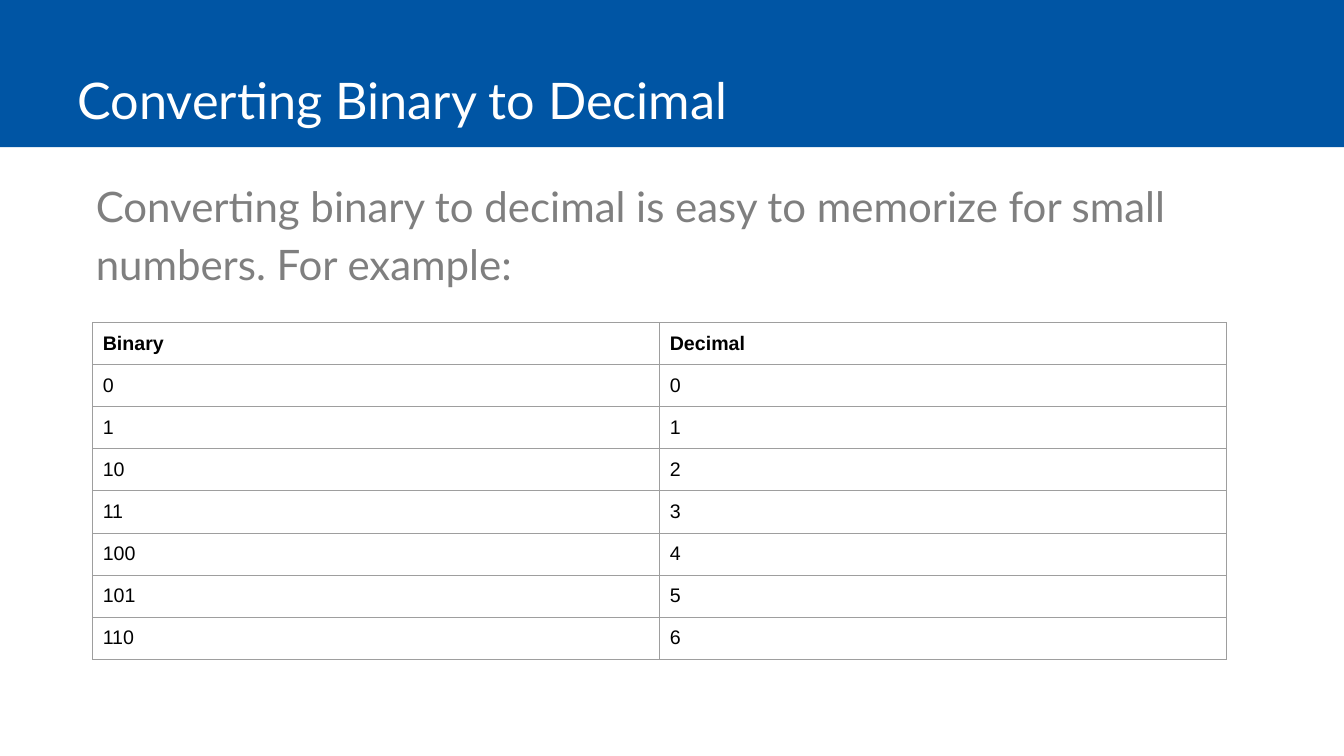
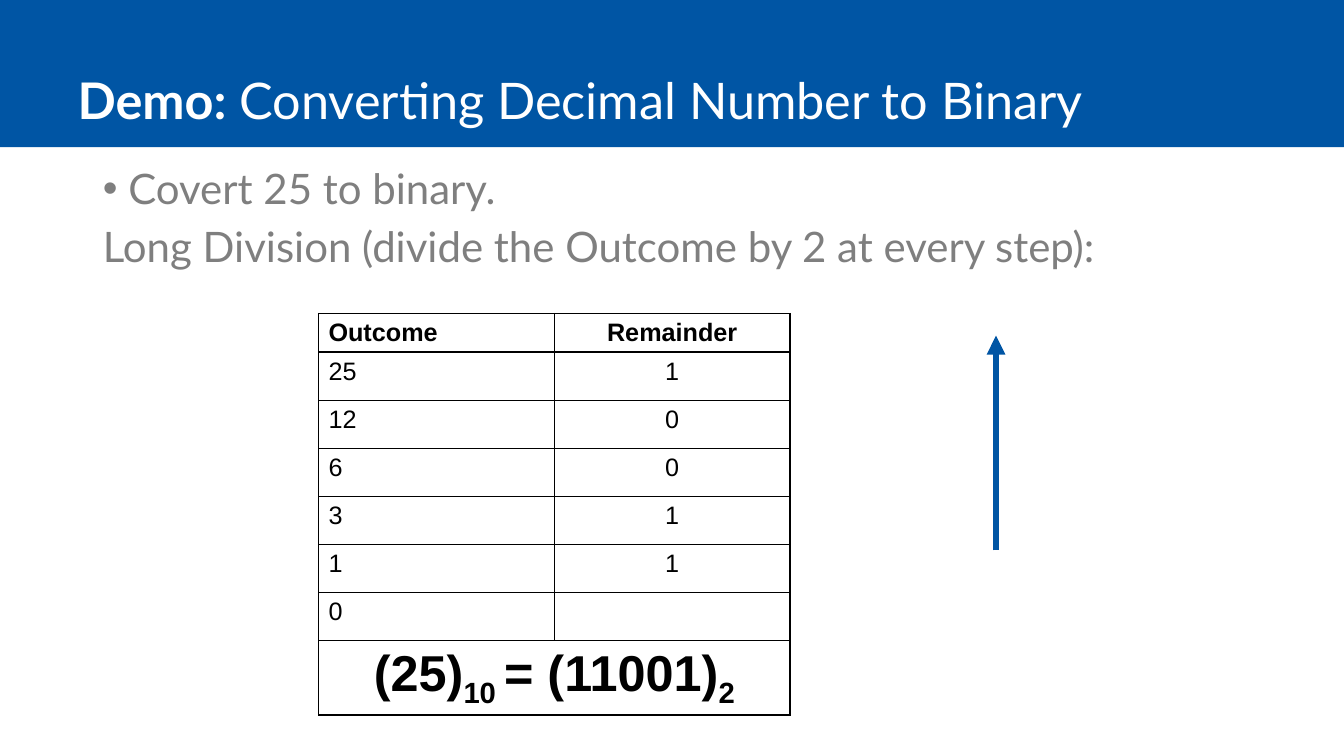
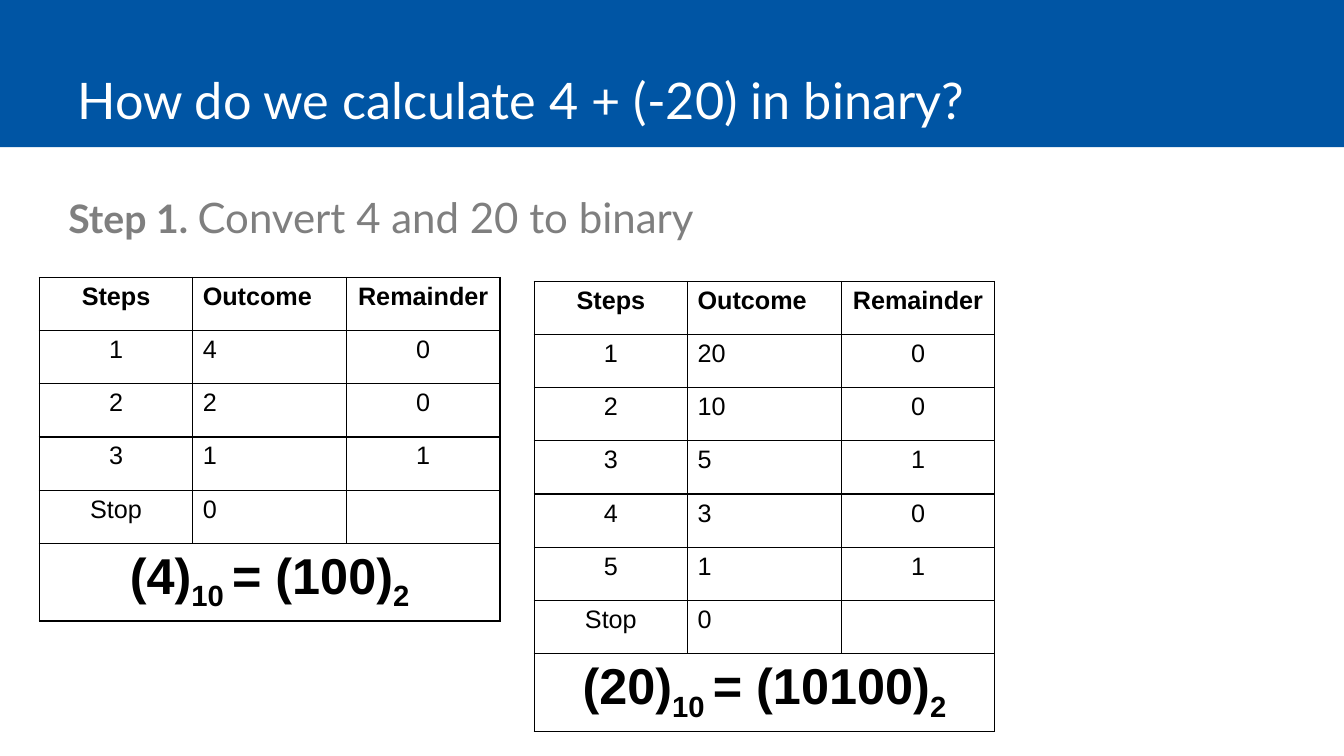
from pptx import Presentation
from pptx.dml.color import RGBColor
from pptx.enum.shapes import MSO_CONNECTOR, MSO_SHAPE
from pptx.enum.text import MSO_ANCHOR, MSO_AUTO_SIZE, PP_ALIGN
from pptx.oxml.ns import qn
from pptx.util import Cm, Pt
from lxml.etree import SubElement

HUES = {"band": "0055A4", "title": "FFFFFF", "body": "7F7F7F",
        "cell": "000000", "grid": "9E9E9E"}
SIDES = {"l": PP_ALIGN.LEFT, "c": PP_ALIGN.CENTER}
WIDE, HIGH = 33.87, 19.05


def hue(name):
    return RGBColor.from_string(HUES[name])


def tint(node, name):
    SubElement(node, qn("a:srgbClr"), val=HUES[name])


def edge(cell, name, width):
    """Draw all four borders of a cell; call before its fill is set."""
    props = cell._tc.get_or_add_tcPr()
    for side in ("lnL", "lnR", "lnT", "lnB"):
        line = SubElement(props, qn("a:" + side), w=str(Pt(width)))
        tint(SubElement(line, qn("a:solidFill")), name)


class Deck:
    head, text = "Lato", "Arial"

    def __init__(self):
        self.file = Presentation()
        self.file.slide_width, self.file.slide_height = Cm(WIDE), Cm(HIGH)
        self.plan = self.file.slide_layouts[1]
        self.place(self.plan.placeholders[0], 1.7, 0, 29.85, 3.4)
        self.page = None

    def place(self, item, *box):
        item.left, item.top, item.width, item.height = map(Cm, box)

    def run(self, para, text, size, font, color, bold=False, base=0):
        run = para.add_run()
        run.text = text
        run.font.size, run.font.name, run.font.bold = Pt(size), font, bold
        run.font.color.rgb = hue(color)
        if base:
            run._r.get_or_add_rPr().set("baseline", str(base * 1000))

    def slide(self, *parts):
        """Start a slide; each title part is (text, bold)."""
        self.page = self.file.slides.add_slide(self.plan)
        frame = self.page.shapes.title.text_frame
        frame.vertical_anchor = MSO_ANCHOR.BOTTOM
        frame.auto_size = MSO_AUTO_SIZE.NONE
        para = frame.paragraphs[0]
        para.alignment = PP_ALIGN.LEFT
        for text, bold in parts:
            self.run(para, text, 36, self.head, "title", bold)

    def band(self):
        """Draw the title band and move it to the layout, behind all."""
        bar = self.page.shapes.add_shape(
            MSO_SHAPE.RECTANGLE, 0, 0, Cm(WIDE), Cm(3.71))
        bar.shadow.inherit = False
        bar.fill.solid()
        bar.fill.fore_color.rgb = hue("band")
        bar.line.fill.background()
        self.plan.shapes.element.insert(2, bar.element)

    def body(self, box, paras, space=0.9):
        """Each paragraph is (bullet, gap before, [(text, size, bold)])."""
        item = self.page.placeholders[1]
        self.place(item, *box)
        frame = item.text_frame
        frame.auto_size = MSO_AUTO_SIZE.NONE
        for num, (dot, gap, parts) in enumerate(paras):
            para = frame.add_paragraph() if num else frame.paragraphs[0]
            para.line_spacing, para.space_before = space, Pt(gap)
            props = para._p.get_or_add_pPr()
            inset = Cm(0.64) if dot else 0
            props.set("marL", str(inset))
            props.set("indent", str(-inset))
            if dot:
                tint(SubElement(props, qn("a:buClr")), "body")
                SubElement(props, qn("a:buFont"), typeface=self.text)
                SubElement(props, qn("a:buChar"), char="•")
            else:
                SubElement(props, qn("a:buNone"))
            for text, size, bold in parts:
                self.run(para, text, size, self.head, "body", bold)

    def table(self, left, top, width, highs, rows, sides,
              size=18, pad=0.13, line=("cell", 1)):
        """Build a grid with a bold first row; width is that of a column."""
        table = self.page.shapes.add_table(
            len(highs), len(sides), Cm(left), Cm(top),
            Cm(width * len(sides)), Cm(sum(highs))).table
        table.first_row = table.horz_banding = False
        for col in table.columns:
            col.width = Cm(width)
        for row, high in zip(table.rows, highs):
            row.height = Cm(high)
            for cell in row.cells:
                edge(cell, *line)
                cell.fill.background()
                cell.margin_left = cell.margin_right = Cm(0.25)
                cell.margin_top = cell.margin_bottom = Cm(pad)
        for y, row in enumerate(rows):
            for x, text in enumerate(row):
                para = table.cell(y, x).text_frame.paragraphs[0]
                para.alignment = SIDES[sides[x]]
                if text:
                    self.run(para, text, size, self.text, "cell", y == 0)
        return table

    def steps(self, left, top, width, highs, rows, sides, ten, two):
        """Build a division table that ends in a merged result row."""
        table = self.table(left, top, width, highs, rows, sides)
        last = len(highs) - 1
        cell = table.cell(last, 0)
        cell.merge(table.cell(last, len(sides) - 1))
        para = cell.text_frame.paragraphs[0]
        para.alignment = PP_ALIGN.CENTER
        for text, base in ((f"({ten})", 0), ("10 ", -25),
                           (f"= ({two})", 0), ("2", -25)):
            self.run(para, text, 36, self.text, "cell", True, base)

    def arrow(self, *ends):
        line = self.page.shapes.add_connector(
            MSO_CONNECTOR.STRAIGHT, *map(Cm, ends))
        line.line.color.rgb = hue("band")
        line.line.width = Pt(4.5)
        SubElement(line.line._get_or_add_ln(), qn("a:tailEnd"),
                   type="triangle")
        SubElement(line._element.spPr, qn("a:effectLst"))


def main():
    deck = Deck()

    deck.slide(("Converting Binary to Decimal", False))
    deck.band()
    deck.body((2.16, 4.24, 29.21, 3.4), [(False, 0, [
        ("Converting binary to decimal is easy to memorize for small "
         "numbers. For example:", 30, False)])], 1.15)
    rows = [("Binary", "Decimal")]
    rows += [(f"{num:b}", str(num)) for num in range(7)]
    deck.table(2.34, 8.13, 14.29, [1.06] * 8, rows, "ll",
               14, 0.25, ("grid", 0.75))

    deck.slide(("Demo:", True),
               (" Converting Decimal Number to Binary", False))
    deck.body((2.34, 4.11, 29.21, 13.03), [
        (True, 0, [("Covert 25 to binary.", 30, False)]),
        (False, 9, [("Long Division (divide the Outcome by 2 at every "
                     "step):", 30, False)])])
    rows = [("Outcome", "Remainder"), ("25", "1"), ("12", "0"), ("6", "0"),
            ("3", "1"), ("1", "1"), ("0", "")]
    deck.steps(8.03, 7.9, 5.94, [0.96] + [1.21] * 6 + [1.88], rows, "lc",
               "25", "11001")
    deck.arrow(25.1, 13.87, 25.1, 8.46)

    deck.slide(("How do we calculate 4 + (-20) in binary?", False))
    deck.body((1.47, 4.85, 30.73, 12.09), [(False, 0, [
        ("Step 1. ", 28, True), ("Convert 4 and 20 to binary", 30, False)])])
    top = ("Steps", "Outcome", "Remainder")
    end = ("Stop", "0", "")
    four = [("4", "0"), ("2", "0"), ("1", "1")]
    score = [("20", "0"), ("10", "0"), ("5", "1"), ("3", "0"), ("1", "1")]
    for left, high, pairs, ten, two in (
            (0.99, 6.99, four, "4", "100"),
            (13.46, 7.09, score, "20", "10100")):
        rows = [(str(num), *pair) for num, pair in enumerate(pairs, 1)]
        rows = [top, *rows, end]
        deck.steps(left, high, 3.87, [1.34] * len(rows) + [1.96], rows,
                   "clc", ten, two)

    deck.file.save("out.pptx")


if __name__ == "__main__":
    main()
